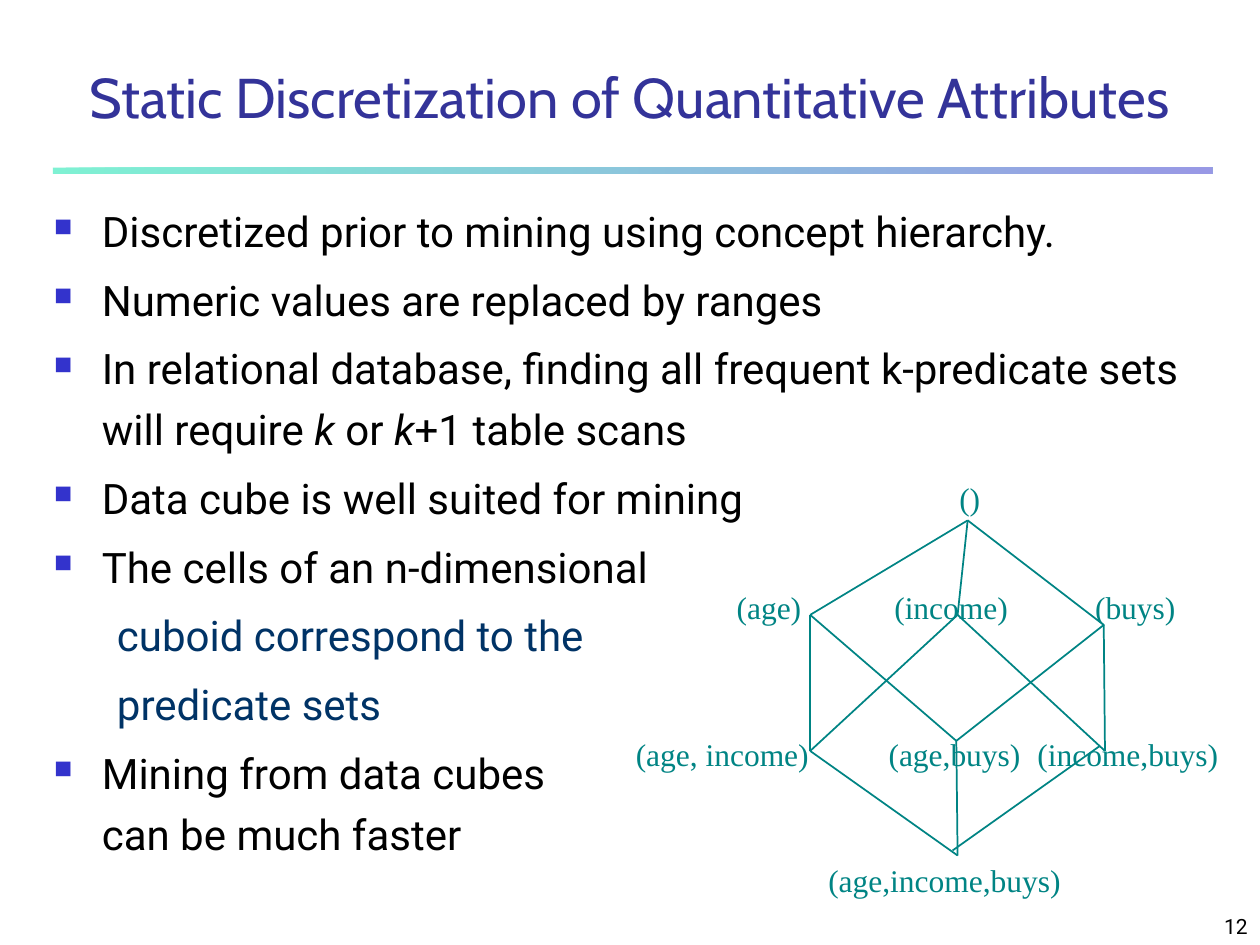
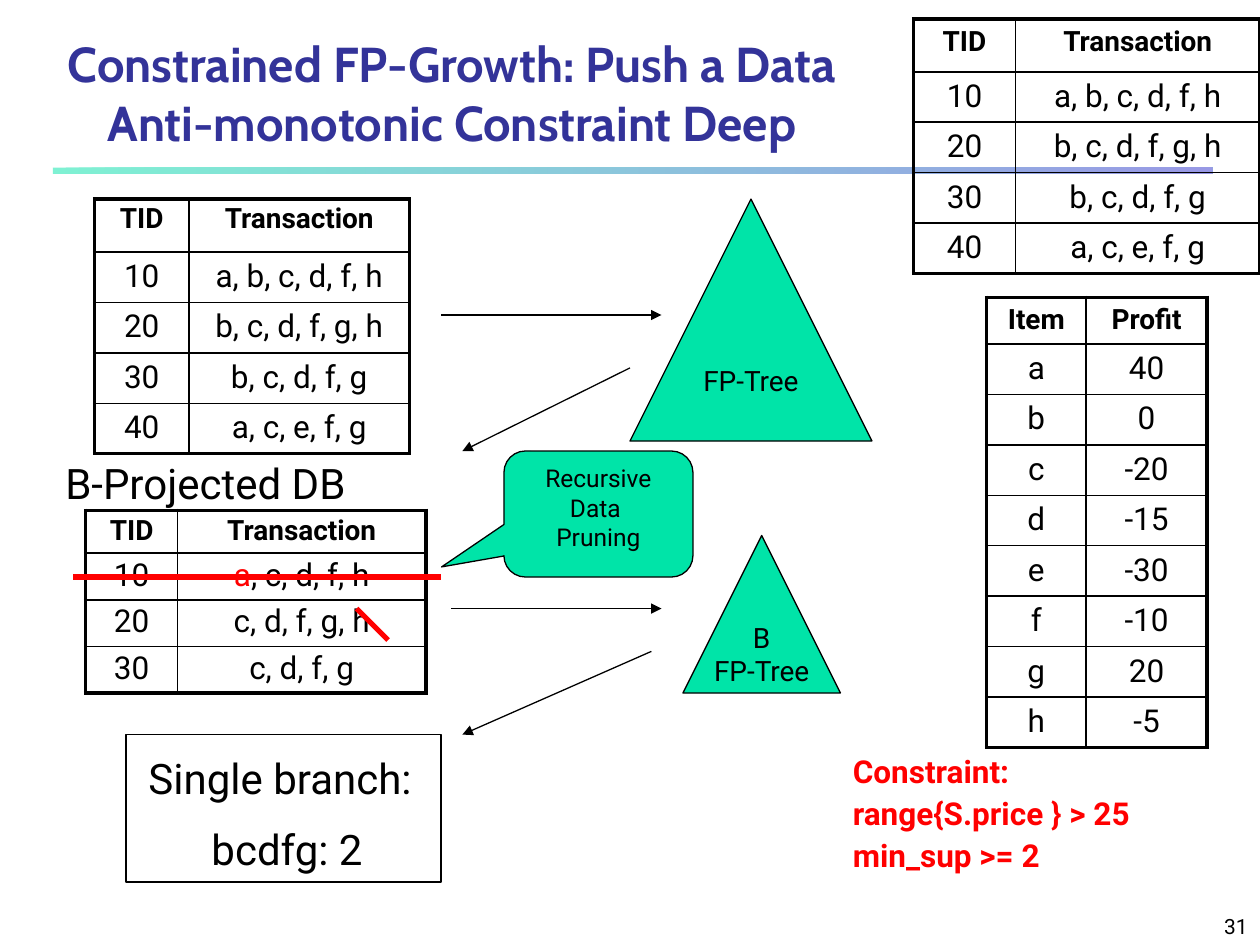
import pptx
import pptx.util
import pptx.dml.color
import pptx.enum.shapes
import pptx.enum.text
import pptx.oxml.ns
from lxml import etree

Inches, Pt = pptx.util.Inches, pptx.util.Pt
RGBColor = pptx.dml.color.RGBColor
SHAPE = pptx.enum.shapes.MSO_SHAPE
ALIGN = pptx.enum.text.PP_ALIGN
ANCHOR = pptx.enum.text.MSO_ANCHOR
qn = pptx.oxml.ns.qn

BLACK = RGBColor(0x00, 0x00, 0x00)
RED = RGBColor(0xFF, 0x00, 0x00)
GREEN = RGBColor(0x00, 0xE4, 0xA8)
BLUE = RGBColor(0x33, 0x33, 0xCC)
INDIGO = RGBColor(0x33, 0x33, 0x99)
NAVY = RGBColor(0x00, 0x33, 0x66)
TEAL = RGBColor(0x00, 0x84, 0x84)


def write(tf, paras, size, color=BLACK, font="Roboto", bold=False,
          align=ALIGN.LEFT, before=0, spacing=1.0):
    """Fill a text frame; each paragraph is a list of runs."""
    for i, runs in enumerate(paras):
        p = tf.add_paragraph() if i else tf.paragraphs[0]
        p.alignment, p.line_spacing = align, spacing
        p.space_before = Pt(before if i else 0)
        for text in runs:
            if text == "\n":
                p.add_line_break()
                continue
            r = p.add_run()
            r.text = text
            r.font.size, r.font.name, r.font.bold = Pt(size), font, bold
            r.font.color.rgb = color


def line(s, start, end, color, width, arrow=False):
    c = s.shapes.add_connector(pptx.enum.shapes.MSO_CONNECTOR.STRAIGHT,
                               *[Inches(v) for v in start + end])
    c.line.color.rgb, c.line.width = color, Pt(width)
    if arrow:
        etree.SubElement(c.line._get_or_add_ln(), qn("a:tailEnd"), type="triangle")
    etree.SubElement(c._element.spPr, qn("a:effectLst"))


prs = pptx.Presentation()
prs.slide_width, prs.slide_height = Inches(10), Inches(7.5)

# Shared frame: title, gradient band, slide number
frames = [
    ("Static Discretization of Quantitative Attributes", 32, False, (0, 0.33, 10, 0.75), "12"),
    ("Constrained FP-Growth: Push a Data Anti-monotonic Constraint Deep", 28, True,
     (0.25, 0.17, 6.67, 1.08), "31"),
]
slides = []
for title, size, bold, box, number in frames:
    s = prs.slides.add_slide(prs.slide_layouts[5])
    slides.append(s)
    band = s.shapes.add_shape(SHAPE.RECTANGLE, Inches(0.42), Inches(1.33), Inches(9.2), Inches(0.05))
    band.shadow.inherit = False
    band.line.fill.background()
    band.fill.gradient()
    band.fill.gradient_angle = 0
    for stop, color in zip(band.fill.gradient_stops, (GREEN, BLUE)):
        stop.color.rgb = color
    for clr in band._element.spPr.iter(qn("a:srgbClr")):
        etree.SubElement(clr, qn("a:alpha"), val="50000")

    sp = s.shapes.title
    sp.left, sp.top, sp.width, sp.height = [Inches(v) for v in box]
    sp.text_frame.word_wrap = True
    sp.text_frame.vertical_anchor = ANCHOR.BOTTOM
    write(sp.text_frame, [[title]], size, INDIGO, "Cabin", bold, ALIGN.CENTER)

    tf = s.shapes.add_textbox(Inches(7.92), Inches(7.08), Inches(2.08), Inches(0.42)).text_frame
    tf.word_wrap = True
    tf.vertical_anchor = ANCHOR.BOTTOM
    write(tf, [[number]], 12, align=ALIGN.RIGHT)

# Slide 1: bullets
s = slides[0]
tf = s.shapes.add_textbox(Inches(0.33), Inches(1.5), Inches(9.25), Inches(5.67)).text_frame
tf.word_wrap = True
write(tf, [
    ["Discretized prior to mining using concept hierarchy."],
    ["Numeric values are replaced by ranges"],
    ["In relational database, finding all frequent k-predicate sets will require ",
     "k", " or ", "k", "+1 table scans"],
    ["Data cube is well suited for mining"],
    ["The cells of an n-dimensional"],
    ["cuboid correspond to the"],
    ["predicate sets"],
    ["Mining from data cubes", "\n", "can be much faster"],
], 24, before=4.8, spacing=1.2)
for i, p in enumerate(tf.paragraphs):
    continued = i in (5, 6)
    pPr = p._p.get_or_add_pPr()
    pPr.set("marL", str(Inches(0.81 if continued else 0.38)))
    pPr.set("indent", str(Inches(-0.31 if continued else -0.38)))
    if continued:
        p.level = 1
        p.runs[0].font.color.rgb = NAVY
        etree.SubElement(pPr, qn("a:buNone"))
    else:
        clr = etree.SubElement(pPr, qn("a:buClr"))
        etree.SubElement(clr, qn("a:srgbClr"), val=str(BLUE))
        etree.SubElement(pPr, qn("a:buSzPct"), val="60000")
        etree.SubElement(pPr, qn("a:buChar"), char="■")
for k in (1, 3):
    tf.paragraphs[2].runs[k].font.italic = True

# Slide 1: cuboid lattice
apex, base = (7.68, 4.13), (7.6, 6.79)
age, income, buys = (6.43, 4.88), (7.6, 4.88), (8.76, 4.96)
age_income, age_buys, income_buys = (6.43, 5.96), (7.59, 5.88), (8.77, 5.96)
edges = [
    (apex, age), (apex, income), (apex, buys),
    (age, age_income), (age, age_buys),
    (income, age_income), (income, income_buys),
    (buys, age_buys), (buys, income_buys),
    (age_income, base), (age_buys, base), ((8.73, 5.92), (7.56, 6.75)),
]
for start, end in edges:
    line(s, start, end, TEAL, 1)

# Labels end at a right edge; each box is a little wider than its text
labels = [
    ("()", 7.78, 3.8, 0.3),
    ("(age)", 6.36, 4.67, 0.7), ("(income)", 8, 4.67, 1.1), ("(buys)", 9.33, 4.67, 0.8),
    ("(age, income)", 6.42, 5.83, 1.5), ("(age,buys)", 8.1, 5.83, 1.2),
    ("(income,buys)", 9.67, 5.83, 1.6),
    ("(age,income,buys)", 8.42, 6.83, 2),
]
for text, right, y, w in labels:
    tf = s.shapes.add_textbox(Inches(right - w), Inches(y), Inches(w), Inches(0.3)).text_frame
    tf.margin_left = tf.margin_right = tf.margin_top = tf.margin_bottom = 0
    tf.word_wrap = True
    write(tf, [[text]], 18, TEAL, "Times New Roman", align=ALIGN.RIGHT)

# Slide 2: tables
s = slides[1]
transactions = [("TID", "Transaction"), ("10", "a, b, c, d, f, h"), ("20", "b, c, d, f, g, h"),
                ("30", "b, c, d, f, g"), ("40", "a, c, e, f, g")]
projected = [("TID", "Transaction"), ("10", ("a", ", c, d, f, h")),
             ("20", "c, d, f, g, h"), ("30", "c, d, f, g")]
profits = [("Item", "Profit"), ("a", "40"), ("b", "0"), ("c", "-20"), ("d", "-15"),
           ("e", "-30"), ("f", "-10"), ("g", "20"), ("h", "-5")]
# rows, left, top, column widths, header height, row height, header and body line spacing
tables = [
    (projected, 0.68, 4.05, (0.73, 1.97), 0.34, 0.37, 0.9, 0.9),
    (transactions, 0.75, 1.58, (0.75, 1.75), 0.42, 0.4, 0.9, 1.0),
    (transactions, 7.25, 0.15, (0.81, 1.94), 0.42, 0.4, 1.0, 1.0),
    (profits, 7.83, 2.36, (0.79, 0.96), 0.37, 0.4, 1.0, 1.0),
]
for rows, x, y, widths, head_h, row_h, head_ls, body_ls in tables:
    last = len(rows) - 1
    tbl = s.shapes.add_table(len(rows), 2, Inches(x), Inches(y), Inches(sum(widths)),
                             Inches(head_h + row_h * last)).table
    tbl.first_row = tbl.horz_banding = False
    for j, w in enumerate(widths):
        tbl.columns[j].width = Inches(w)
    for i, row in enumerate(rows):
        tbl.rows[i].height = Inches(row_h if i else head_h)
        for j, value in enumerate(row):
            cell = tbl.cell(i, j)
            runs = [value] if isinstance(value, str) else value
            write(cell.text_frame, [runs], 18 if i else 16, bold=i == 0,
                  align=ALIGN.CENTER, spacing=body_ls if i else head_ls)
            if len(runs) > 1:
                cell.text_frame.paragraphs[0].runs[0].font.color.rgb = RED
            # Thick outer frame, thin inner rules
            tcPr = cell._tc.get_or_add_tcPr()
            for side, outer in (("L", j == 0), ("R", j == 1), ("T", i == 0), ("B", i == last)):
                ln = etree.SubElement(tcPr, qn("a:ln" + side), w=str(Pt(2.25 if outer else 1)))
                fill = etree.SubElement(ln, qn("a:solidFill"))
                etree.SubElement(fill, qn("a:srgbClr"), val=str(BLACK))
            cell.fill.background()

# Slide 2: trees, callout and result frame
shapes = [
    (SHAPE.ISOSCELES_TRIANGLE, (5, 1.58, 1.92, 1.92), ["FP-Tree"], 16),
    (SHAPE.ISOSCELES_TRIANGLE, (5.42, 4.25, 1.25, 1.25), ["B", "FP-Tree"], 16),
    (SHAPE.ROUNDED_RECTANGULAR_CALLOUT, (4, 3.58, 1.5, 1), ["Recursive", "Data ", "Pruning"], 14),
    (SHAPE.RECTANGLE, (1, 5.83, 2.5, 1.17), [], 24),
]
for kind, box, texts, size in shapes:
    sp = s.shapes.add_shape(kind, *[Inches(v) for v in box])
    sp.shadow.inherit = False
    sp.line.color.rgb, sp.line.width = BLACK, Pt(0.75)
    if texts:
        sp.fill.solid()
        sp.fill.fore_color.rgb = GREEN
    else:
        sp.fill.background()
    tf = sp.text_frame
    if kind == SHAPE.ROUNDED_RECTANGULAR_CALLOUT:
        for k, value in enumerate((-0.83, 0.42, 0.17)):
            sp.adjustments[k] = value
        tf.vertical_anchor = ANCHOR.TOP
    else:
        tf.word_wrap = False
        tf.vertical_anchor = ANCHOR.MIDDLE
    write(tf, [[t] for t in texts], size, align=ALIGN.CENTER)

# Slide 2: free text
notes = [
    ((0.42, 3.58, 2.8, 0.5), ["B-Projected DB"], 24, BLACK, False, 0, 1.0),
    ((6.67, 6, 3.08, 1.03), ["Constraint:", "range{S.price } > 25", "min_sup >= 2"],
     18, RED, True, 9, 0.7),
    ((0.58, 5.92, 3.25, 1.1), ["Single branch:", "bcdfg: 2"], 24, BLACK, False, 12, 1.0),
]
for box, texts, size, color, bold, before, spacing in notes:
    tf = s.shapes.add_textbox(*[Inches(v) for v in box]).text_frame
    tf.word_wrap = True
    write(tf, [[t] for t in texts], size, color, bold=bold, before=before, spacing=spacing)
for level, p in enumerate(tf.paragraphs, 1):
    p.level = level
    p._p.get_or_add_pPr().set("marL", str(Inches(0.5 * level)))
    p._p.get_or_add_pPr().set("indent", "0")

# Slide 2: flow arrows and strike-outs
for start, end in [((3.5, 2.5), (5.25, 2.5)), ((3.58, 4.83), (5.25, 4.83)),
                   ((5, 2.92), (3.67, 3.58)), ((5.17, 5.17), (3.67, 5.83))]:
    line(s, start, end, BLACK, 0.75, arrow=True)
for start, end in [((0.58, 4.58), (3.5, 4.58)), ((2.83, 4.83), (3.08, 5.08))]:
    line(s, start, end, RED, 3)

prs.save("out.pptx")
